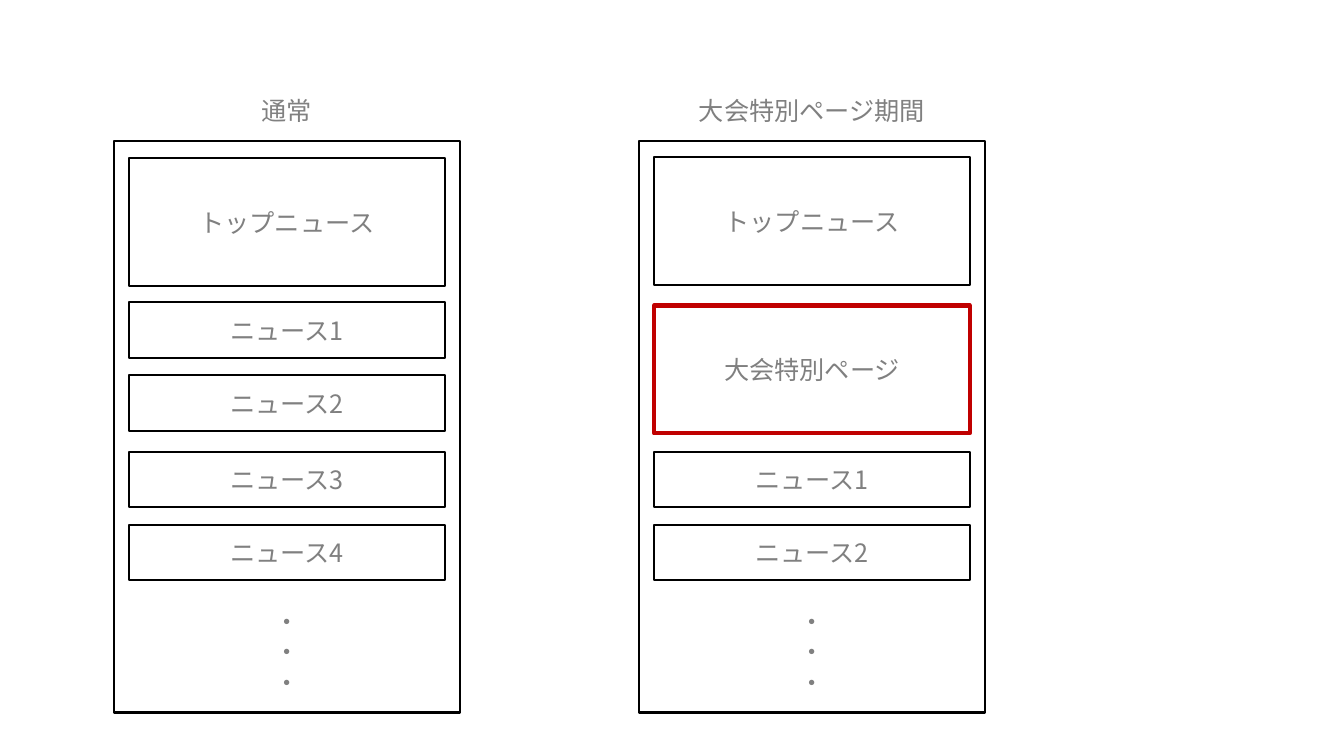
from dataclasses import dataclass

from lxml.etree import SubElement
from pptx import Presentation
from pptx.dml.color import RGBColor
from pptx.enum.shapes import MSO_SHAPE as Preset
from pptx.enum.text import MSO_ANCHOR as Anchor, PP_ALIGN as Align
from pptx.oxml.ns import qn
from pptx.shapes.autoshape import Shape
from pptx.slide import Slide
from pptx.util import Pt

COLORS = {"text": "808080", "frame": "000000", "special": "C00000"}
FONT = "Noto Sans CJK JP"
FONT_SIZE = 18

PAGE_TOP, PAGE_WIDTH, PAGE_HEIGHT = 100.8, 247, 408.2
PADDING = 10.8
BLOCK_WIDTH = PAGE_WIDTH - 2 * PADDING
TALL, SHORT = 91.4, 39.6
HEADING_TOP = 59
DOTS_TOP, DOTS_HEIGHT, DOTS_SPACING = 427.4, 76.3, 21.7


@dataclass(frozen=True)
class Block:
    label: str
    top: float
    height: float = SHORT
    color: str = "frame"
    border: float = 1.5


@dataclass(frozen=True)
class Page:
    heading: str
    left: float
    blocks: tuple[Block, ...]


PAGES = (
    Page("通常", 81.4, (
        Block("トップニュース", 113, TALL),
        Block("ニュース1", 216),
        Block("ニュース2", 268),
        Block("ニュース3", 322.6),
        Block("ニュース4", 375),
    )),
    Page("大会特別ページ期間", 456.5, (
        Block("トップニュース", 112.4, TALL),
        Block("大会特別ページ", 218.2, TALL, "special", 3),
        Block("ニュース1", 322.6),
        Block("ニュース2", 375),
    )),
)


def write_centered(shape: Shape, text: str) -> None:
    frame = shape.text_frame
    frame.text = text
    frame.word_wrap = True
    frame.vertical_anchor = Anchor.MIDDLE
    for paragraph in frame.paragraphs:
        paragraph.alignment = Align.CENTER
        for run in paragraph.runs:
            run.font.size = Pt(FONT_SIZE)
            run.font.name = FONT
            run.font.color.rgb = RGBColor.from_string(COLORS["text"])
            SubElement(run.font._element, qn("a:ea"), typeface=FONT)


def add_outline(slide: Slide, left: float, top: float, width: float, height: float,
                color: str = "frame", border: float = 1.5) -> Shape:
    outline = slide.shapes.add_shape(
        Preset.RECTANGLE, Pt(left), Pt(top), Pt(width), Pt(height))
    outline.shadow.inherit = False
    outline.fill.background()
    outline.line.color.rgb = RGBColor.from_string(COLORS[color])
    outline.line.width = Pt(border)
    return outline


def add_label(slide: Slide, text: str, left: float, top: float, height: float) -> Shape:
    label = slide.shapes.add_textbox(Pt(left), Pt(top), Pt(BLOCK_WIDTH), Pt(height))
    write_centered(label, text)
    return label


def draw_page(slide: Slide, page: Page) -> None:
    """Draw one page mock-up: heading, frame, news blocks and the trailing dots."""
    inner_left = page.left + PADDING
    add_label(slide, page.heading, inner_left, HEADING_TOP, SHORT)
    add_outline(slide, page.left, PAGE_TOP, PAGE_WIDTH, PAGE_HEIGHT)
    for block in page.blocks:
        outline = add_outline(slide, inner_left, block.top, BLOCK_WIDTH, block.height,
                              block.color, block.border)
        write_centered(outline, block.label)
    dots = add_label(slide, "\n".join("・" * 3), inner_left, DOTS_TOP, DOTS_HEIGHT)
    for paragraph in dots.text_frame.paragraphs:
        paragraph.line_spacing = Pt(DOTS_SPACING)


def main() -> None:
    deck = Presentation()
    deck.slide_width, deck.slide_height = Pt(960), Pt(540)
    slide = deck.slides.add_slide(deck.slide_layouts[6])
    for page in PAGES:
        draw_page(slide, page)
    deck.save("out.pptx")


if __name__ == "__main__":
    main()
